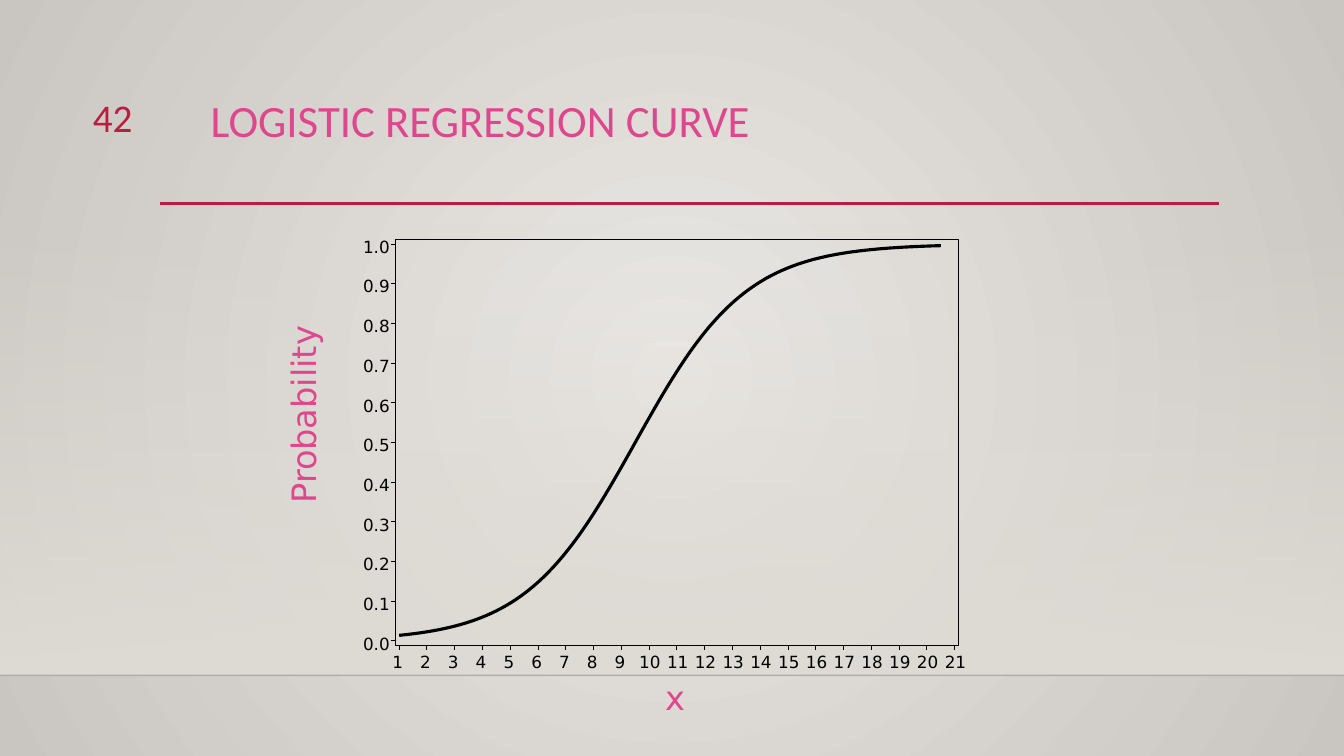
from math import exp

from lxml import etree
from pptx import Presentation
from pptx.dml.color import RGBColor
from pptx.enum.shapes import MSO_CONNECTOR, MSO_SHAPE
from pptx.enum.text import MSO_AUTO_SIZE, PP_ALIGN
from pptx.oxml.ns import qn
from pptx.util import Cm, Pt

STRAIGHT = MSO_CONNECTOR.STRAIGHT
RECT = MSO_SHAPE.RECTANGLE
GROW, FIXED = MSO_AUTO_SIZE.SHAPE_TO_FIT_TEXT, MSO_AUTO_SIZE.NONE
LEFT, RIGHT = PP_ALIGN.LEFT, PP_ALIGN.RIGHT

BLACK = RGBColor(0x00, 0x00, 0x00)
NIGHT = RGBColor(0x00, 0x00, 0x01)
PINK = RGBColor(0xDE, 0x47, 0x8E)
RED = RGBColor(0xB7, 0x1E, 0x42)
LIGHT = RGBColor(0xEB, 0xE9, 0xE6)
STONE = RGBColor(0xC9, 0xC5, 0xC0)
SAND = RGBColor(0xDF, 0xDB, 0xD5)

WIDE, HIGH = 33.87, 19.05
FLOOR = 17.02
X_ONE, X_STEP = 10.06, 0.7
Y_ZERO, Y_SPAN = 16.15, 10
MIDDLE, SLOPE = 9.5, 0.5


class Painter:
    """Draws styled elements on the current slide, with lengths in centimetres."""

    looks = {
        "title": ({"name": "Calibri", "size": Pt(32)}, PINK),
        "page": ({"name": "Calibri", "size": Pt(28)}, RED),
        "axis": ({"name": "DejaVu Sans", "size": Pt(24)}, PINK),
        "tick": ({"name": "DejaVu Sans", "size": Pt(12)}, BLACK),
    }

    def __init__(self, slide):
        self.slide = slide
        self.shapes = slide.shapes

    def blend(self, owner, fill, stops, kind, **attrs):
        fill.gradient()
        grad = owner.find(".//" + qn("a:gradFill"))
        for child in list(grad):
            grad.remove(child)
        chain = etree.SubElement(grad, qn("a:gsLst"))
        for place, color, alpha in stops:
            stop = etree.SubElement(chain, qn("a:gs"), pos=str(place * 1000))
            tone = etree.SubElement(stop, qn("a:srgbClr"), val=str(color))
            etree.SubElement(tone, qn("a:alpha"), val=str(alpha * 1000))
        return etree.SubElement(grad, qn(kind), **attrs)

    def backdrop(self):
        stops = [(0, LIGHT, 100), (100, STONE, 100)]
        path = self.blend(self.slide.element, self.slide.background.fill,
                          stops, "a:path", path="circle")
        sides = dict.fromkeys("ltrb", "50000")
        etree.SubElement(path, qn("a:fillToRect"), **sides)

    def stroke(self, shape, color, width):
        shape.line.color.rgb = color
        shape.line.width = Pt(width)

    def box(self, *place):
        shape = self.shapes.add_shape(RECT, *map(Cm, place))
        shape.shadow.inherit = False
        return shape

    def floor(self, *place):
        shape = self.box(*place)
        shape.line.fill.background()
        stops = [(0, SAND, 0), (100, SAND, 100)]
        self.blend(shape.element, shape.fill, stops, "a:lin",
                   ang="5400000", scaled="0")

    def frame(self, *place):
        shape = self.box(*place)
        shape.fill.background()
        self.stroke(shape, BLACK, 0.75)

    def line(self, *ends, color=BLACK, width=0.75, alpha=100):
        rule = self.shapes.add_connector(STRAIGHT, *map(Cm, ends))
        self.stroke(rule, color, width)
        tone = rule.element.spPr.find(".//" + qn("a:srgbClr"))
        if alpha < 100:
            etree.SubElement(tone, qn("a:alpha"), val=str(alpha * 1000))
        etree.SubElement(rule.element.spPr, qn("a:effectLst"))

    def curve(self, points):
        spots = [(Cm(x), Cm(y)) for x, y in points]
        build = self.shapes.build_freeform(*spots[0])
        build.add_line_segments(spots[1:], close=False)
        shape = build.convert_to_shape()
        shape.shadow.inherit = False
        shape.fill.background()
        self.stroke(shape, BLACK, 2.25)

    def text(self, words, look, *place, turn=0, align=LEFT, space=1.0,
             wrap=False, fit=GROW, pad=(0.25, 0.13)):
        area = self.shapes.add_textbox(*map(Cm, place))
        area.rotation = turn
        side, edge = map(Cm, pad)
        body = area.text_frame
        form = {"word_wrap": wrap, "auto_size": fit,
                "margin_left": side, "margin_right": side,
                "margin_top": edge, "margin_bottom": edge}
        for name, value in form.items():
            setattr(body, name, value)
        para = body.paragraphs[0]
        para.alignment = align
        para.line_spacing = space
        run = para.add_run()
        run.text = words
        style, color = self.looks[look]
        for name, value in style.items():
            setattr(run.font, name, value)
        run.font.color.rgb = color

    def label(self, words, *place):
        self.text(words, "tick", *place, pad=(0, 0))


def point(value):
    chance = 1 / (1 + exp(-SLOPE * (value - MIDDLE)))
    return X_ONE + (value - 1) * X_STEP, Y_ZERO - chance * Y_SPAN


def main():
    deck = Presentation()
    deck.slide_width, deck.slide_height = Cm(WIDE), Cm(HIGH)
    pen = Painter(deck.slides.add_slide(deck.slide_layouts[6]))

    pen.backdrop()
    pen.floor(0, 5.61, WIDE, FLOOR - 5.61)
    pen.line(0, FLOOR, WIDE, FLOOR, color=NIGHT, width=1, alpha=20)
    pen.line(4.04, 5.13, 30.73, 5.13, color=RED, width=2.5)
    pen.text("LOGISTIC REGRESSION CURVE", "title", 5.06, 2.36, 21.9, 1.57,
             space=0.9, wrap=True, fit=FIXED)

    for tenth in range(11):
        y = Y_ZERO - tenth * Y_SPAN / 10
        pen.line(9.96, y, 9.86, y)
        pen.label(f"{tenth / 10:.1f}", 9.15, y - 0.19, 0.72, 0.51)

    for value in range(1, 22):
        x = X_ONE + (value - 1) * X_STEP
        pen.line(x, 16.26, x, 16.38)
        shift, width = (0.17, 0.3) if value < 10 else (0.25, 0.6)
        pen.label(str(value), x - shift, 16.43, width, 0.51)

    for start, end in ((10, 114), (114, 205)):
        pen.curve([point(tenth / 10) for tenth in range(start, end + 1)])

    pen.frame(9.96, 6.03, 14.2, 10.23)
    pen.text("x", "axis", 16.51, 16.94, 1.02, 1.27)
    pen.text("Probability", "axis", 5.07, 9.75, 5.11, 1.27, turn=270)
    pen.text("42", "page", 1.33, 2.21, 2.26, 1.4,
             align=RIGHT, wrap=True, fit=FIXED)
    deck.save("out.pptx")


if __name__ == "__main__":
    main()
